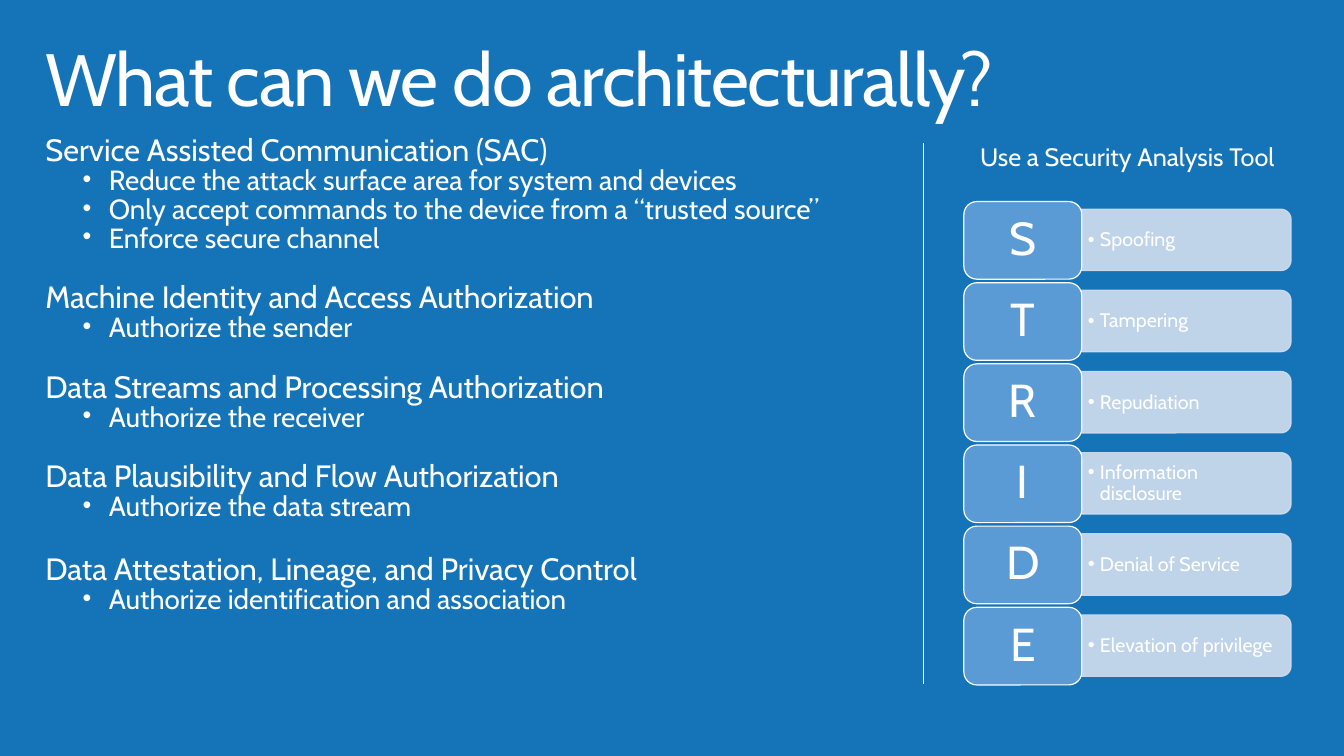
from lxml import etree
from pptx import Presentation
from pptx.dml.color import RGBColor
from pptx.enum.shapes import MSO_CONNECTOR, MSO_SHAPE
from pptx.enum.text import MSO_ANCHOR, MSO_AUTO_SIZE, PP_ALIGN
from pptx.oxml.ns import qn
from pptx.util import Inches, Pt

STRAIGHT = MSO_CONNECTOR.STRAIGHT
TILE, BAR = MSO_SHAPE.ROUNDED_RECTANGLE, MSO_SHAPE.ROUND_2_SAME_RECTANGLE
TOP, MIDDLE = MSO_ANCHOR.TOP, MSO_ANCHOR.MIDDLE
NO_FIT, GROW = MSO_AUTO_SIZE.NONE, MSO_AUTO_SIZE.SHAPE_TO_FIT_TEXT
LEFT, CENTER = PP_ALIGN.LEFT, PP_ALIGN.CENTER

FONT = "Cabin"
BLUE = RGBColor(0x15, 0x74, 0xB8)
TILE_BLUE = RGBColor(0x5B, 0x9B, 0xD5)
PALE = RGBColor(0xD2, 0xDE, 0xEF)
WHITE = RGBColor(0xFF, 0xFF, 0xFF)

TOPICS = [
    ("Service Assisted Communication (SAC)", 4.4, [
        "Reduce the attack surface area for system and devices",
        "Only accept commands to the device from a “trusted source”",
        "Enforce secure channel"]),
    ("Machine Identity and Access Authorization", 25, ["Authorize the sender"]),
    ("Data Streams and Processing Authorization", 25, ["Authorize the receiver"]),
    ("Data Plausibility and Flow Authorization", 25, ["Authorize the data stream"]),
    ("Data Attestation, Lineage, and Privacy Control", 27.5,
     ["Authorize identification and association"]),
]
THREATS = ["Spoofing", "Tampering", "Repudiation", "Information disclosure",
           "Denial of Service", "Elevation of privilege"]


class Deck:
    """Holds the style and the current slide, and adds its elements."""

    def __init__(self):
        self.prs = Presentation()
        self.prs.slide_width, self.prs.slide_height = Inches(13.33), Inches(7.5)
        self.s = self.prs.slides.add_slide(self.prs.slide_layouts[1])
        self.s.background.fill.solid()
        self.s.background.fill.fore_color.rgb = BLUE

    def place(self, sp, x, y, w, h):
        sp.left, sp.top = Inches(x), Inches(y)
        sp.width, sp.height = Inches(w), Inches(h)

    def frame(self, sp, side, end, anchor=TOP, fit=NO_FIT):
        tf = sp.text_frame
        tf.word_wrap, tf.auto_size, tf.vertical_anchor = True, fit, anchor
        tf.margin_left = tf.margin_right = Inches(side)
        tf.margin_top = tf.margin_bottom = Inches(end)
        return tf

    def style(self, p, text, size, spacing=0.9, before=0, align=LEFT):
        p.text = text
        p.alignment, p.line_spacing = align, spacing
        p.space_before, p.space_after = Pt(before), Pt(0)
        for r in p.runs:
            r.font.name, r.font.size, r.font.color.rgb = FONT, Pt(size), WHITE

    def bullet(self, p, margin=0.0, hang=0.0, percent=100):
        pPr = p._p.get_or_add_pPr()
        pPr.set("marL", str(Inches(margin)))
        pPr.set("indent", str(-Inches(hang)))
        if not hang:
            etree.SubElement(pPr, qn("a:buNone"))
            return
        etree.SubElement(pPr, qn("a:buSzPct"), val=str(percent * 1000))
        etree.SubElement(pPr, qn("a:buFont"), typeface="Arial")
        etree.SubElement(pPr, qn("a:buChar"), char="•")

    def title(self, text):
        sp = self.s.shapes.title
        self.place(sp, 0.29, 0.32, 12.62, 0.98)
        p = self.frame(sp, 0.16, 0.1).paragraphs[0]
        self.style(p, text, 52.9)
        p.runs[0].font._element.set("spc", "-100")

    def body(self, topics):
        sp = self.s.placeholders[1]
        self.place(sp, 0.29, 1.3, 8.88, 6.06)
        tf = self.frame(sp, 0.16, 0.1)
        for i, (heading, before, points) in enumerate(topics):
            p = tf.add_paragraph() if i else tf.paragraphs[0]
            self.style(p, heading, 22, 0.7, before)
            self.bullet(p)
            for point in points:
                p = tf.add_paragraph()
                p.level = 1
                self.style(p, point, 19.8, 0.7, 3.8)
                self.bullet(p, 0.63, 0.26, 90)

    def shape(self, kind, x, y, w, h, fill, line):
        sp = self.s.shapes.add_shape(kind, Inches(x), Inches(y), Inches(w), Inches(h))
        sp.shadow.inherit = False
        sp.fill.solid()
        sp.fill.fore_color.rgb = fill
        sp.line.color.rgb, sp.line.width = line, Pt(0.85)
        return sp

    def textbox(self, x, y, w, h):
        return self.s.shapes.add_textbox(Inches(x), Inches(y), Inches(w), Inches(h))

    def threat(self, y, name):
        bar = self.shape(BAR, 11.46, y - 0.66, 0.61, 2.08, PALE, PALE)
        bar.rotation = 90
        for color in list(bar.element.spPr.iter(qn("a:srgbClr"))):
            etree.SubElement(color, qn("a:alpha"), val="90000")
        tf = self.frame(self.textbox(10.73, y + 0.11, 2.05, 0.55), 0.06, 0.03, MIDDLE)
        self.style(tf.paragraphs[0], name, 14)
        self.bullet(tf.paragraphs[0], 0.12, 0.12)
        tile = self.shape(TILE, 9.56, y, 1.17, 0.77, TILE_BLUE, WHITE)
        tf = self.frame(tile, 0.17, 0.1, MIDDLE)
        self.style(tf.paragraphs[0], name[0], 33, align=CENTER)

    def caption(self, text):
        tf = self.frame(self.textbox(9.29, 1.3, 3.78, 0.6), 0.2, 0.16, fit=GROW)
        self.style(tf.paragraphs[0], text, 18, align=CENTER)

    def divider(self, x, bottom, top):
        line = self.s.shapes.add_connector(
            STRAIGHT, Inches(x), Inches(bottom), Inches(x), Inches(top))
        line.line.color.rgb, line.line.width = WHITE, Pt(0.75)
        etree.SubElement(line.element.spPr, qn("a:effectLst"))


def main():
    deck = Deck()
    deck.title("What can we do architecturally?")
    deck.body(TOPICS)
    for i, name in enumerate(THREATS):
        deck.threat(2 + 0.805 * i, name)
    deck.caption("Use a Security Analysis Tool")
    deck.divider(9.16, 6.79, 1.42)
    deck.prs.save("out.pptx")


if __name__ == "__main__":
    main()
